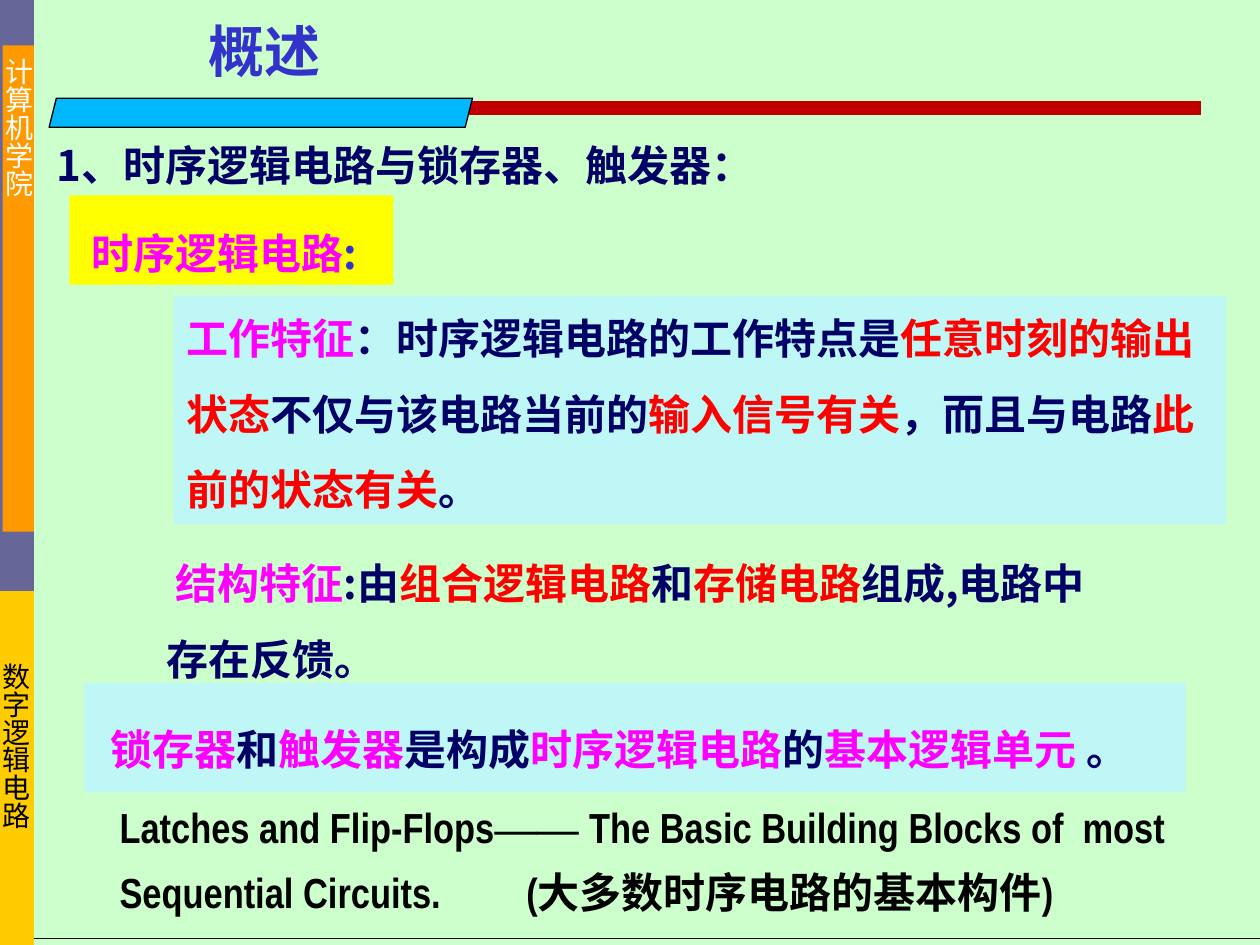
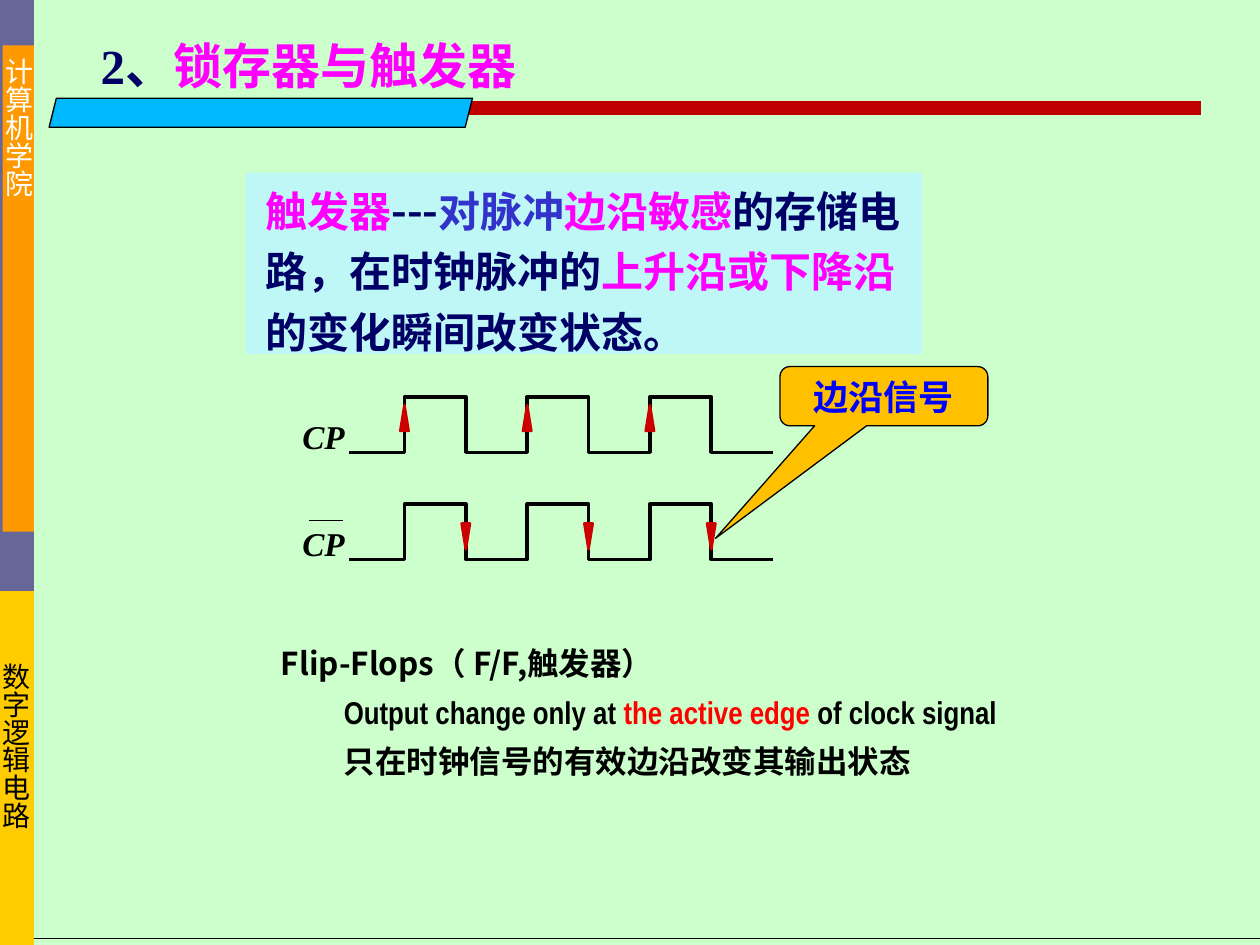
from collections import namedtuple

from lxml.etree import SubElement
from pptx import Presentation
from pptx.dml.color import RGBColor
from pptx.enum.shapes import MSO_CONNECTOR as Link, MSO_SHAPE as Preset
from pptx.enum.text import MSO_ANCHOR as Anchor, PP_ALIGN as Align
from pptx.oxml.ns import qn
from pptx.util import Inches, Pt

CELL = Inches(0.1)
COLUMNS, ROWS = 100, 75

COLORS = {
    "mint": "CCFFCC", "slate": "666699", "orange": "FF9900", "gold": "FFCC00",
    "crimson": "C00000", "sky": "00B8FF", "aqua": "BFF7F7", "yellow": "FFFF00",
    "amber": "FFC000", "navy": "000066", "indigo": "3333CC", "magenta": "FF00FF",
    "red": "FF0000", "edge": "CC0000", "blue": "0000FF", "black": "000000",
    "white": "FFFFFF",
}
CJK, CJK_JP = "Noto Sans CJK SC", "Noto Sans CJK JP"
TIMES, NARROW = "Times New Roman", "Arial Narrow"

SIDE = {"size": Pt(16)}
HEADING = {"size": Pt(32), "bold": True, "name": CJK}
SUBHEADING = {"size": Pt(28), "bold": True, "name": TIMES}
BODY = {"size": Pt(24), "bold": True, "name": CJK}
NOTE = {"size": Pt(18), "bold": True, "name": NARROW}
SIGNAL = {"size": Pt(19), "bold": True, "italic": True, "name": TIMES}
CALLOUT = {"size": Pt(20), "bold": True, "name": TIMES}

MIDDLE = {"vertical_anchor": Anchor.MIDDLE}
NO_INSETS = {f"margin_{side}": 0 for side in ("left", "top", "right", "bottom")}
SIDEWAYS = {"vertical_anchor": Anchor.MIDDLE, "margin_left": 0, "margin_right": 0}


class Box(namedtuple("Box", "left top width height")):
    """A region measured in grid cells."""

    def inner(self, left, top, width, height):
        """Return a box placed relative to this one."""
        return Box(self.left + left, self.top + top, width, height)

    def emu(self):
        """Return the box in slide units."""
        return [round(cells * CELL) for cells in self]


PAGE = Box(0, 0, COLUMNS, ROWS)


def rgb(color):
    """Look up a colour by name."""
    return RGBColor.from_string(COLORS[color])


def apply(target, formats):
    """Set each format value on the target."""
    for key, value in formats.items():
        setattr(target, key, value)


def outline(line, color, width):
    """Give a line its colour and width, or hide it when there is no colour."""
    if color:
        line.color.rgb = rgb(color)
        line.width = Pt(width)
    else:
        line.fill.background()


def add_block(slide, preset, box, fill, line=None, width=0.75):
    """Add a flat preset shape."""
    block = slide.shapes.add_shape(preset, *box.emu())
    block.shadow.inherit = False
    block.fill.solid()
    block.fill.fore_color.rgb = rgb(fill)
    outline(block.line, line, width)
    return block


def add_rule(slide, box, color, width):
    """Draw a straight line from the box's top left to its bottom right."""
    left, top, across, down = box.emu()
    rule = slide.shapes.add_connector(
        Link.STRAIGHT, left, top, left + across, top + down)
    outline(rule.line, color, width)
    SubElement(rule._element.spPr, qn("a:effectLst"))


def write(frame, runs, style, spacing=1, align=Align.LEFT, indent=0, tab=0):
    """Append a paragraph of (text, colour, optional font) runs."""
    paragraph = frame.paragraphs[0]
    if paragraph.runs:
        paragraph = frame.add_paragraph()
    apply(paragraph, {"line_spacing": spacing, "alignment": align})
    properties = paragraph._p.get_or_add_pPr()
    if indent:
        properties.set("marL", str(round(indent * CELL)))
        properties.set("indent", "0")
    if tab:
        stops = SubElement(properties, qn("a:tabLst"))
        SubElement(stops, qn("a:tab"), pos=str(round(tab * CELL)), algn="l")
    for text, color, *font in runs:
        run = paragraph.add_run()
        run.text = text
        apply(run.font, style)
        if font:
            run.font.name = font[0]
        run.font.color.rgb = rgb(color)
        SubElement(run._r.get_or_add_rPr(), qn("a:ea"), typeface=CJK)


def add_text(slide, box, runs, style, frame_format=None, **paragraph_format):
    """Add a wrapped text box and return its frame."""
    frame = slide.shapes.add_textbox(*box.emu()).text_frame
    apply(frame, {"word_wrap": True, **(frame_format or {})})
    write(frame, runs, style, **paragraph_format)
    return frame


def add_side_label(slide, box, text, color, font):
    """Add a label whose characters run downwards."""
    frame = add_text(slide, box, [(text, color, font)], SIDE, SIDEWAYS)
    frame._txBody.bodyPr.set("vert", "eaVert")


def draw_sidebar(slide, box):
    """Draw the coloured side bands with their labels."""
    bands = [
        (box.inner(0, 46.2, box.width, 28.8), "gold"),
        (box.inner(0, 0, box.width, 46.9), "slate"),
        (box.inner(0.2, 3.6, 2.5, 38.6), "orange"),
    ]
    for band, color in bands:
        add_block(slide, Preset.RECTANGLE, band, color)
    add_side_label(slide, bands[2][0], "计算机学院", "white", "TeX Gyre Adventor")
    add_side_label(slide, box.inner(0, 51.6, 2.4, 19.7), "数字逻辑电路",
                   "black", "DejaVu Sans")


def draw_title_band(slide, box):
    """Draw the red rule and the slanted band below the title."""
    add_rule(slide, box.inner(1.6, 0.8, 89.8, 0), "crimson", 8)
    add_block(slide, Preset.PARALLELOGRAM, box.inner(0, 0, 33.6, box.height),
              "sky", "black")


def start_slide(deck):
    """Add a blank slide with the shared frame."""
    slide = deck.slides.add_slide(deck.slide_layouts[6])
    draw_sidebar(slide, PAGE.inner(0, 0, 2.7, ROWS))
    add_rule(slide, PAGE.inner(2.7, 74.5, 97.3, 0), "black", 0.75)
    draw_title_band(slide, PAGE.inner(3.9, 7.8, 91.4, 2.3))
    return slide


def draw_sequential_features(slide, box):
    """Place the definition of sequential circuits and their features."""
    add_block(slide, Preset.RECTANGLE, box.inner(8.3, 8, 83.5, 18.1), "aqua")
    tag = add_block(slide, Preset.RECTANGLE, box.inner(0, 0, 25.7, 7.1), "yellow")
    apply(tag.text_frame, MIDDLE)
    write(tag.text_frame, [(" 时序逻辑电路", "magenta"), (":", "indigo")], BODY, 1.5)
    add_text(slide, box.inner(8.3, 7.2, 85, 18.2), [
        ("工作特征", "magenta", "DejaVu Sans"),
        ("：", "navy", "DejaVu Sans"),
        ("时序逻辑电路的工作特点是", "navy"),
        ("任意时刻的输出状态", "red"),
        ("不仅与该电路当前的", "navy"),
        ("输入信号有关", "red"),
        ("，而且与电路", "navy"),
        ("此前的状态有关", "red"),
        ("。", "navy"),
    ], BODY, MIDDLE, spacing=1.5)
    add_text(slide, box.inner(6.7, 26.2, 77.2, 13.1), [
        (" 结构特征", "magenta"),
        (":由", "navy"),
        ("组合逻辑电路", "red"),
        ("和", "navy"),
        ("存储电路", "red"),
        ("组成,电路中存在反馈。", "navy"),
    ], BODY, MIDDLE, spacing=1.5)


def draw_basic_units(slide, box):
    """Place the statement on the basic units in both languages."""
    add_block(slide, Preset.RECTANGLE, box.inner(0, 0, box.width, 8.7), "aqua")
    add_text(slide, box.inner(1.1, 0.7, 86.6, 7.1), [
        ("锁存器", "magenta"),
        ("和", "navy"),
        ("触发器", "magenta"),
        ("是构成", "navy"),
        ("时序逻辑电路", "magenta"),
        ("的", "navy"),
        ("基本逻辑单元 ", "magenta"),
        ("。", "navy"),
    ], BODY, spacing=1.5)
    add_text(slide, box.inner(1.8, 7.7, 87.1, 11.5), [
        ("Latches and Flip-Flops", "black", NARROW),
        ("—— ", "black", TIMES),
        ("The Basic Building Blocks of  most Sequential Circuits."
         "\t(大多数时序电路的基本构件)", "black", NARROW),
    ], BODY, spacing=1.3, tab=32.3)


def draw_definition(slide, box):
    """Place the definition of a flip-flop on its panel."""
    add_block(slide, Preset.RECTANGLE, box, "aqua")
    add_text(slide, box.inner(0.6, -0.3, 54.3, 15.4), [
        ("触发器", "magenta"),
        ("---", "navy"),
        ("对脉冲", "indigo"),
        ("边沿敏感", "magenta"),
        ("的存储电路，在时钟脉冲的", "navy"),
        ("上升沿或下降沿", "magenta"),
        ("的变化瞬间改变状态。", "navy"),
    ], {**BODY, "name": "Karla"}, spacing=1.2)


def draw_clock(slide, box, rising):
    """Draw a labelled clock wave and mark its active edges."""
    lead, step, edge_count = 8.1, 4.87, 6
    edges = [lead + step * index for index in range(edge_count)]
    points = [(3.7, box.height)]
    for index, edge in enumerate(edges):
        levels = (box.height, 0) if index % 2 == 0 else (0, box.height)
        points += [(edge, level) for level in levels]
    points.append((edges[-1] + step, box.height))
    start, *corners = [box.inner(x, y, 0, 0).emu()[:2] for x, y in points]
    builder = slide.shapes.build_freeform(*start)
    builder.add_line_segments(corners, close=False)
    wave = builder.convert_to_shape()
    wave.shadow.inherit = False
    wave.fill.background()
    outline(wave.line, "black", 2)
    for edge in edges[0 if rising else 1::2]:
        marker = add_block(slide, Preset.ISOSCELES_TRIANGLE,
                           box.inner(edge - 0.33, 0.65 if rising else 1.55, 0.66, 2.05),
                           "edge", "edge", 1.5)
        marker.rotation = 0 if rising else 180
    add_text(slide, box.inner(0, 1.5, 4, 3.2), [("CP", "black")], SIGNAL, NO_INSETS)
    if not rising:
        add_rule(slide, box.inner(0.5, 1.3, 2.7, 0), "black", 1)


def draw_edge_callout(slide, box):
    """Point the callout at the last falling edge."""
    callout = add_block(slide, Preset.ROUNDED_RECTANGULAR_CALLOUT, box,
                        "amber", "black")
    for index, value in enumerate((-0.81, 2.4, 0.17)):
        callout.adjustments[index] = value
    apply(callout.text_frame, MIDDLE)
    write(callout.text_frame, [("边沿信号", "blue")], CALLOUT, align=Align.CENTER)


def draw_summary(slide, box):
    """Place the closing note on flip-flops."""
    frame = add_text(slide, box, [("Flip-Flops（ F/F,触发器）", "black", CJK_JP)],
                     NOTE, spacing=1.3)
    write(frame, [
        ("Output change only at ", "black"),
        ("the active edge ", "red"),
        ("of clock signal", "black"),
    ], NOTE, 1.3, indent=5)
    write(frame, [("只在时钟信号的有效边沿改变其输出状态", "black")], NOTE, 1.3, indent=5)


def build_overview(deck):
    """Build the overview slide."""
    slide = start_slide(deck)
    add_text(slide, PAGE.inner(9.4, 0.8, 23.2, 6.3), [("概述", "indigo")],
             HEADING, align=Align.CENTER)
    add_text(slide, PAGE.inner(3.5, 8.6, 60.2, 7),
             [("1、时序逻辑电路与锁存器、触发器：", "navy")], BODY, MIDDLE, spacing=1.5)
    draw_sequential_features(slide, PAGE.inner(5.5, 15.5, 93.3, 39.3))
    draw_basic_units(slide, PAGE.inner(6.7, 54.2, 87.4, 19.2))


def build_flip_flops(deck):
    """Build the slide on latches and flip-flops."""
    slide = start_slide(deck)
    add_text(slide, PAGE.inner(7, 2.3, 36.6, 5.7),
             [("2、", "navy"), ("锁存器与触发器", "magenta")], SUBHEADING)
    draw_definition(slide, PAGE.inner(19.5, 13.7, 53.7, 14.4))
    for top, rising in ((31.5, True), (40, False)):
        draw_clock(slide, PAGE.inner(24, top, 37.4, 4.4), rising)
    draw_summary(slide, PAGE.inner(21.3, 49.7, 59.9, 12.8))
    draw_edge_callout(slide, PAGE.inner(61.9, 29.1, 16.5, 4.7))


def main():
    """Build and save the deck."""
    deck = Presentation()
    deck.slide_width, deck.slide_height = COLUMNS * CELL, ROWS * CELL
    backdrop = deck.slide_master.background.fill
    backdrop.solid()
    backdrop.fore_color.rgb = rgb("mint")
    build_overview(deck)
    build_flip_flops(deck)
    deck.save("out.pptx")


if __name__ == "__main__":
    main()
